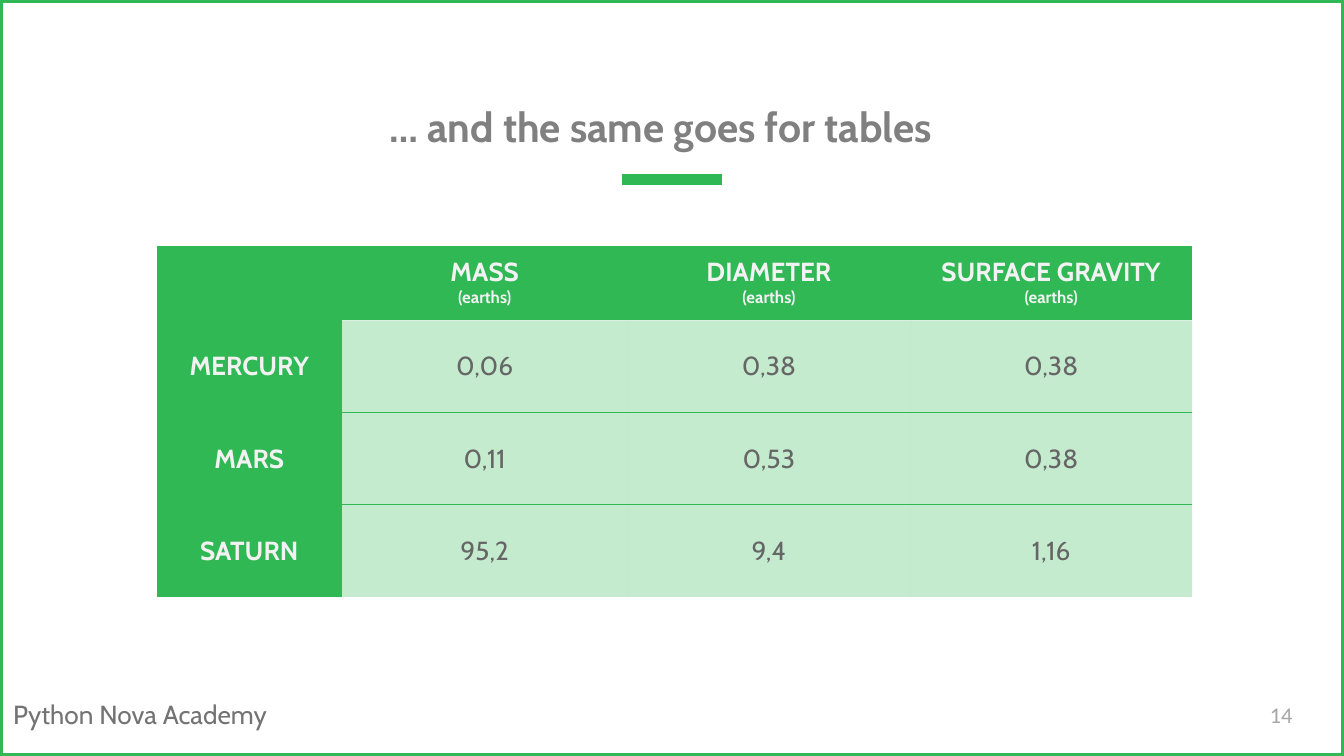
from dataclasses import dataclass

from lxml import etree
from pptx import Presentation
from pptx.dml.color import RGBColor
from pptx.enum.shapes import MSO_CONNECTOR, MSO_SHAPE
from pptx.enum.text import MSO_ANCHOR, PP_ALIGN
from pptx.oxml.ns import qn
from pptx.util import Pt

CENTER, LEFT = PP_ALIGN.CENTER, PP_ALIGN.LEFT
TOP, MIDDLE, BOTTOM = MSO_ANCHOR.TOP, MSO_ANCHOR.MIDDLE, MSO_ANCHOR.BOTTOM
TITLE_ONLY = 5


@dataclass(frozen=True)
class Theme:
    font: str = "Cabin"
    number_font: str = "Calibri"
    green: str = "30B854"
    light: str = "F2F2F2"
    title_grey: str = "808080"
    value_grey: str = "666666"
    footer_grey: str = "737373"
    number_grey: str = "A6A6A6"
    title_size: float = 22
    body_size: float = 14
    number_size: float = 12
    unit_size: float = 9
    tint_alpha: int = 28


theme = Theme()
green = RGBColor.from_string(theme.green)


def write(text_frame, lines, color, bold=False, align=CENTER, font=theme.font):
    """Write (text, size) pairs, one paragraph each."""
    text_frame.word_wrap = True
    for index, (text, size) in enumerate(lines):
        paragraph = text_frame.paragraphs[0] if index == 0 else text_frame.add_paragraph()
        paragraph.alignment = align
        run = paragraph.add_run()
        run.text = text
        run.font.name = font
        run.font.size = Pt(size)
        run.font.bold = bold
        run.font.color.rgb = RGBColor.from_string(color)


def set_borders(cell, ruled_sides):
    """Draw a thin green line on the ruled sides and none on the others."""
    properties = cell._tc.get_or_add_tcPr()
    for index, side in enumerate(("lnL", "lnR", "lnT", "lnB")):
        line = etree.Element(qn(f"a:{side}"), w=str(Pt(0.75)))
        if side in ruled_sides:
            fill = etree.SubElement(line, qn("a:solidFill"))
            etree.SubElement(fill, qn("a:srgbClr"), val=theme.green)
        else:
            etree.SubElement(line, qn("a:noFill"))
        properties.insert(index, line)


presentation = Presentation()
presentation.slide_width, presentation.slide_height = Pt(720), Pt(405)
slide = presentation.slides.add_slide(presentation.slide_layouts[TITLE_ONLY])
shapes = slide.shapes

# Frame and accent bar
frame = shapes.add_shape(MSO_SHAPE.RECTANGLE, 0, 0, Pt(720), Pt(405))
frame.shadow.inherit = False
frame.fill.background()
frame.line.color.rgb = green
frame.line.width = Pt(3)

accent = shapes.add_connector(MSO_CONNECTOR.STRAIGHT, Pt(333.2), Pt(96.3), Pt(386.8), Pt(96.3))
accent.line.color.rgb = green
accent.line.width = Pt(6)
etree.SubElement(accent._element.spPr, qn("a:effectLst"))

# Title
title = shapes.title
title.left, title.top, title.width, title.height = Pt(92.9), Pt(44.6), Pt(522), Pt(43.2)
title.text_frame.vertical_anchor = BOTTOM
title.text_frame.margin_top = title.text_frame.margin_bottom = Pt(7.2)
write(title.text_frame, [("… and the same goes for tables", theme.title_size)],
      theme.title_grey, bold=True)

# Table
headings = ["MASS", "DIAMETER", "SURFACE GRAVITY"]
planets = [
    ("MERCURY", "0,06", "0,38", "0,38"),
    ("MARS", "0,11", "0,53", "0,38"),
    ("SATURN", "95,2", "9,4", "1,16"),
]
column_widths = [98.9, 153.4, 151.2, 151.2]
row_heights = [39.6] + [49.4] * len(planets)
rows = [[[]] + [[(heading, theme.body_size), ("(earths)", theme.unit_size)] for heading in headings]]
rows += [[[(text, theme.body_size)] for text in planet] for planet in planets]
rows[0][0] = []

table = shapes.add_table(len(rows), len(column_widths), Pt(84.1), Pt(132),
                         Pt(sum(column_widths)), Pt(sum(row_heights))).table
table.first_row = table.horz_banding = False
for column, width in zip(table.columns, column_widths):
    column.width = Pt(width)
for row, height in zip(table.rows, row_heights):
    row.height = Pt(height)

for row_index, row in enumerate(rows):
    for column_index, lines in enumerate(row):
        cell = table.cell(row_index, column_index)
        is_value = row_index > 0 and column_index > 0
        cell.margin_left = cell.margin_right = Pt(7.2)
        cell.margin_top = cell.margin_bottom = Pt(5)
        cell.vertical_anchor = MIDDLE if row_index else TOP
        cell.fill.solid()
        cell.fill.fore_color.rgb = green
        ruled_sides = set()
        if is_value:
            tint = cell._tc.tcPr.find(f".//{qn('a:srgbClr')}")
            etree.SubElement(tint, qn("a:alpha"), val=str(theme.tint_alpha * 1000))
            if row_index > 1:
                ruled_sides.add("lnT")
            if row_index < len(planets):
                ruled_sides.add("lnB")
        set_borders(cell, ruled_sides)
        write(cell.text_frame, lines, theme.value_grey if is_value else theme.light,
              bold=not is_value)

# Footer and slide number
footer = shapes.add_textbox(0, Pt(370.8), Pt(183.6), Pt(24.5))
write(footer.text_frame, [("Python Nova Academy", theme.body_size)],
      theme.footer_grey, align=LEFT)

number = shapes.add_textbox(Pt(673.2), Pt(367.5), Pt(43.2), Pt(31))
number.text_frame.vertical_anchor = MIDDLE
write(number.text_frame, [("14", theme.number_size)], theme.number_grey,
      align=LEFT, font=theme.number_font)

presentation.save("out.pptx")
